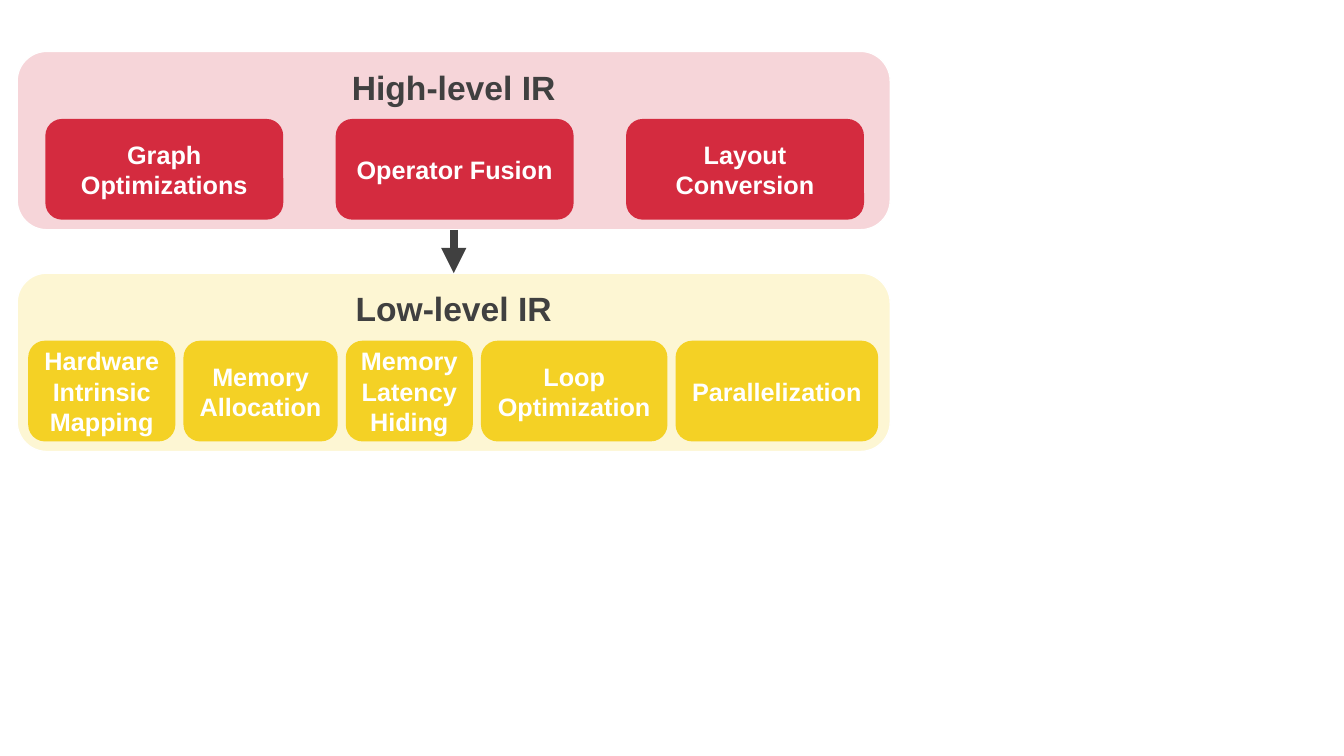
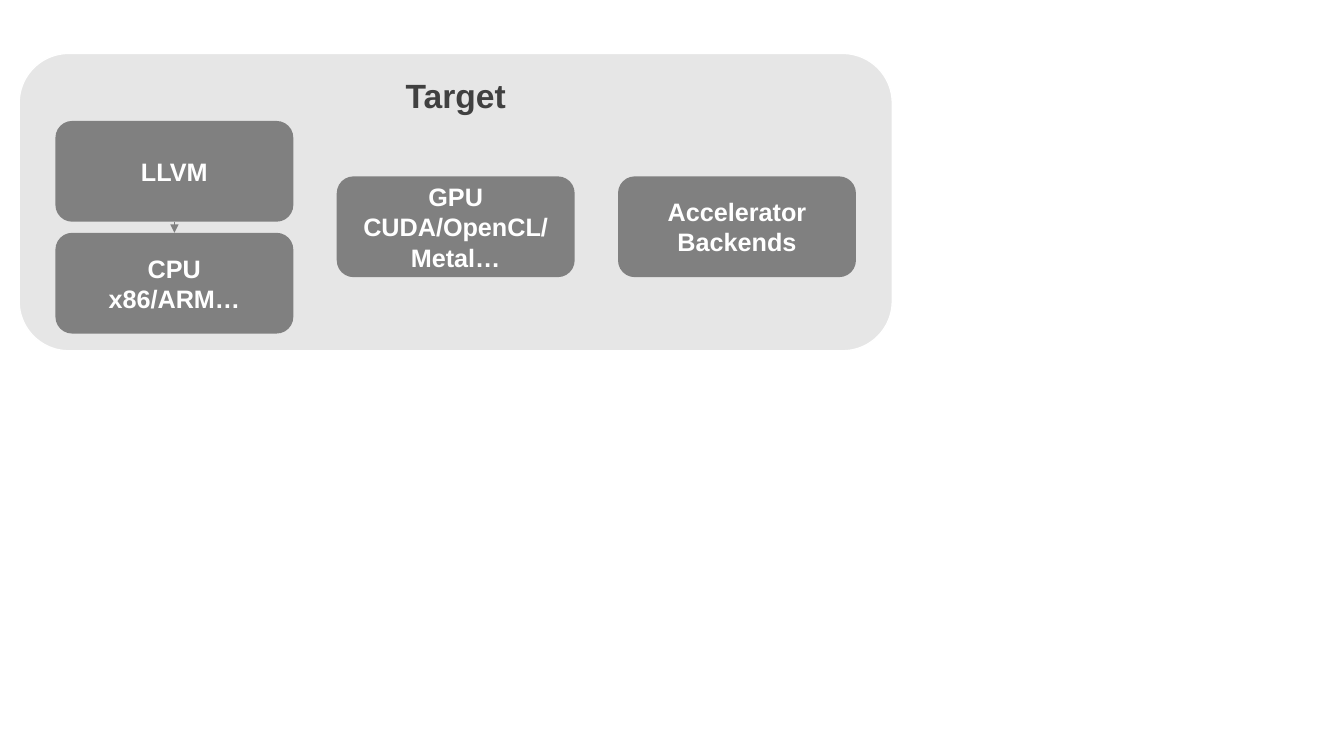
import dataclasses
import typing

import pptx
import pptx.dml.color
import pptx.enum.shapes
import pptx.enum.text
import pptx.oxml
import pptx.oxml.ns
import pptx.shapes.shapetree
import pptx.util

Inches = pptx.util.Inches
Shapes = pptx.shapes.shapetree.GroupShapes

# Shared look
WHITE, DARK, GREY = "FFFFFF", "404040", "808080"
HEADING_FORMAT = {"name": "Arial", "size": pptx.util.Pt(24), "bold": True}
BOX_FORMAT = {"name": "Arial", "size": pptx.util.Pt(18), "bold": True}
FRAME_FORMAT = {
    "word_wrap": True,
    "vertical_anchor": pptx.enum.text.MSO_ANCHOR.MIDDLE,
    "margin_left": Inches(0.05),
    "margin_right": Inches(0.05),
}
PANEL_WIDTH = 8.66
BOX_WIDTH, BOX_HEIGHT = 2.36, 1.0


@dataclasses.dataclass
class Panel:
    heading: str
    left: float
    top: float
    height: float
    fill: str
    heading_offset: float = 0.1


@dataclasses.dataclass
class Box:
    text: str
    width: float = BOX_WIDTH


@dataclasses.dataclass
class Arrow:
    x: float
    start: float
    end: float
    color: str
    weight: float


def rgb(color: str) -> pptx.dml.color.RGBColor:
    return pptx.dml.color.RGBColor.from_string(color)


def write_text(shape: typing.Any, text: str, color: str, formats: dict) -> None:
    for name, value in FRAME_FORMAT.items():
        setattr(shape.text_frame, name, value)
    para = shape.text_frame.paragraphs[0]
    para.text = text
    para.alignment = pptx.enum.text.PP_ALIGN.CENTER
    for span in para.runs:
        for name, value in formats.items():
            setattr(span.font, name, value)
        span.font.color.rgb = rgb(color)


def add_rounded(shapes: Shapes, left: float, top: float, width: float,
                height: float, fill: str) -> typing.Any:
    shape = shapes.add_shape(
        pptx.enum.shapes.MSO_SHAPE.ROUNDED_RECTANGLE,
        Inches(left), Inches(top), Inches(width), Inches(height))
    shape.shadow.inherit = False
    shape.fill.solid()
    shape.fill.fore_color.rgb = rgb(fill)
    shape.line.fill.background()
    return shape


def add_panel(shapes: Shapes, panel: Panel) -> None:
    back = add_rounded(shapes, panel.left, panel.top, PANEL_WIDTH,
                       panel.height, panel.fill)
    back.line.color.rgb = rgb(WHITE)
    back.line.width = pptx.util.Pt(1)
    heading = shapes.add_textbox(
        Inches(panel.left), Inches(panel.top + panel.heading_offset),
        Inches(PANEL_WIDTH), Inches(0.5))
    write_text(heading, panel.heading, DARK, HEADING_FORMAT)


def add_row(shapes: Shapes, boxes: list[Box], left: float, top: float,
            gap: float, fill: str) -> None:
    for box in boxes:
        shape = add_rounded(shapes, left, top, box.width, BOX_HEIGHT, fill)
        write_text(shape, box.text, WHITE, BOX_FORMAT)
        left += box.width + gap


def add_arrow(shapes: Shapes, arrow: Arrow) -> None:
    line = shapes.add_connector(
        pptx.enum.shapes.MSO_CONNECTOR.STRAIGHT,
        Inches(arrow.x), Inches(arrow.start), Inches(arrow.x), Inches(arrow.end))
    line.line.color.rgb = rgb(arrow.color)
    line.line.width = pptx.util.Pt(arrow.weight)
    # Arrowhead, and no shadow
    outline = line.line._get_or_add_ln()
    namespace = pptx.oxml.ns.nsdecls("a")
    outline.append(pptx.oxml.parse_xml(f'<a:tailEnd {namespace} type="triangle"/>'))
    outline.addnext(pptx.oxml.parse_xml(f"<a:effectLst {namespace}/>"))


def add_diagram(deck: typing.Any) -> Shapes:
    page = deck.slides.add_slide(deck.slide_layouts.get_by_name("Blank"))
    return page.shapes.add_group_shape().shapes


def build_ir_page(deck: typing.Any) -> None:
    shapes = add_diagram(deck)
    # High-level IR
    add_panel(shapes, Panel("High-level IR", 0.17, 0.51, 1.77, "F6D5D9"))
    add_row(shapes, [Box("Graph\nOptimizations"), Box("Operator Fusion"),
                     Box("Layout Conversion")], 0.45, 1.18, 0.52, "D42B3F")
    # Low-level IR
    add_panel(shapes, Panel("Low-level IR", 0.17, 2.71, 1.77, "FDF6D3"))
    add_row(shapes, [Box("Hardware Intrinsic Mapping", 1.46),
                     Box("Memory Allocation", 1.53),
                     Box("Memory Latency Hiding", 1.26),
                     Box("Loop Optimization", 1.85),
                     Box("Parallelization", 2.01)], 0.28, 3.38, 0.08, "F4D125")
    add_arrow(shapes, Arrow(4.5, 2.28, 2.71, DARK, 6))


def build_target_page(deck: typing.Any) -> None:
    shapes = add_diagram(deck)
    left, gap = 0.55, 0.43
    add_panel(shapes, Panel("Target", 0.19, 0.53, 2.95, "E6E6E6", 0.16))
    # Compiler above processor, in the first column
    add_row(shapes, [Box("LLVM")], left, 1.2, gap, GREY)
    add_row(shapes, [Box("CPU\nx86/ARM…")], left, 2.31, gap, GREY)
    # Other devices, in the next columns
    add_row(shapes, [Box("GPU\nCUDA/OpenCL/\nMetal…"), Box("Accelerator Backends")],
            left + BOX_WIDTH + gap, 1.75, gap, GREY)
    add_arrow(shapes, Arrow(left + BOX_WIDTH / 2, 2.2, 2.31, GREY, 0.5))


def main() -> None:
    deck = pptx.Presentation()
    deck.slide_width, deck.slide_height = Inches(13.33), Inches(7.5)
    build_ir_page(deck)
    build_target_page(deck)
    deck.save("out.pptx")


if __name__ == "__main__":
    main()
